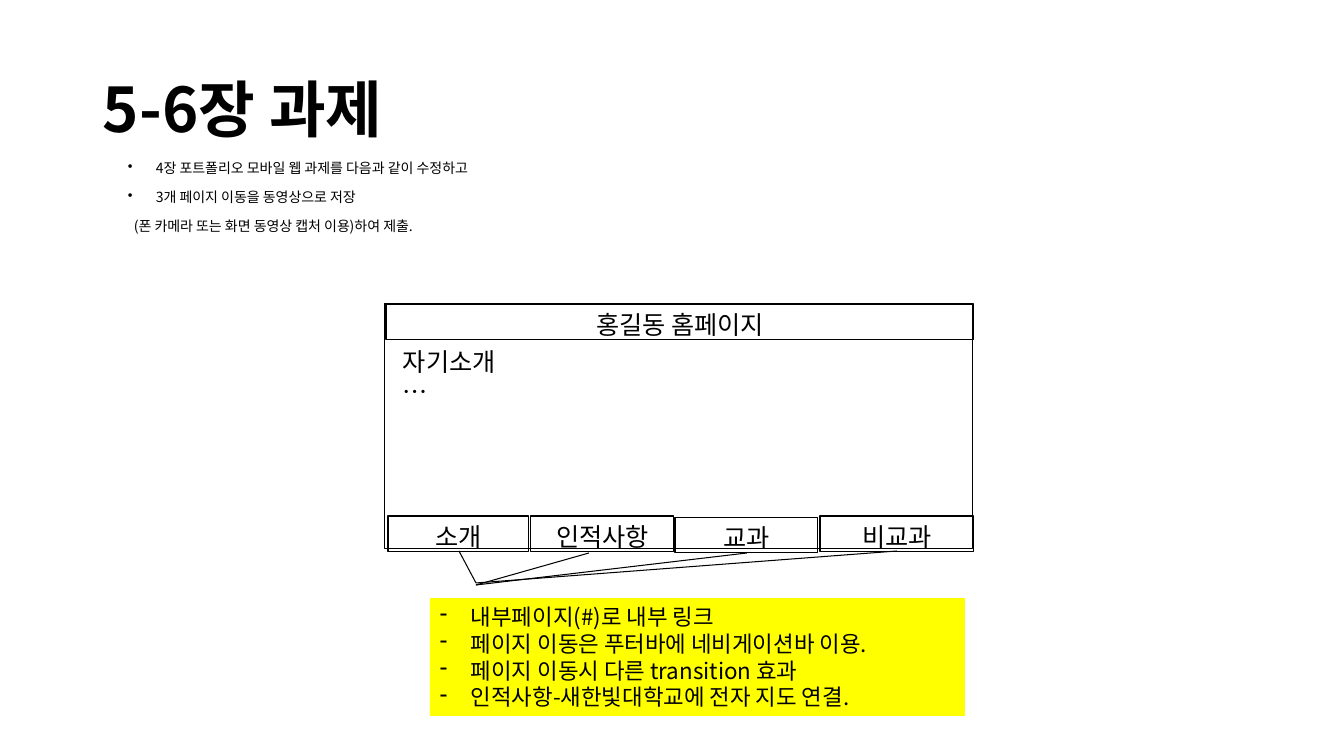
from dataclasses import dataclass
from typing import Optional

import pptx
import pptx.dml.color
import pptx.enum.shapes
import pptx.enum.text
import pptx.util
from pptx.oxml import xmlchemy, ns

SCALE = 914400 / 100.8
FONT = "Noto Sans CJK KR"
BLACK = "000000"
YELLOW = "FFFF00"
ALIGN = pptx.enum.text.PP_ALIGN
ANCHOR = pptx.enum.text.MSO_ANCHOR


@dataclass
class Para:
    text: str
    bullet: str = ""
    left: int = 0
    hang: int = 0


@dataclass
class Box:
    left: int
    top: int
    width: int
    height: int
    paras: tuple = ()
    size: int = 18
    fill: Optional[str] = None
    line: Optional[str] = None
    align: ALIGN = ALIGN.LEFT
    anchor: ANCHOR = ANCHOR.TOP
    bold: bool = False
    space: float = 1.0
    before: int = 0


@dataclass
class Link:
    left: int
    top: int
    end: int


def px(count: int) -> int:
    return round(count * SCALE)


def color(code: str) -> pptx.dml.color.RGBColor:
    return pptx.dml.color.RGBColor.from_string(code)


def add_tag(parent, tag: str, **attrs: str) -> None:
    node = xmlchemy.OxmlElement(tag)
    for key, value in attrs.items():
        node.set(key, value)
    parent.append(node)


def add_para(para, item: Para, box: Box) -> None:
    para.alignment = box.align
    para.line_spacing = box.space
    para.space_before = pptx.util.Pt(box.before)
    props = para._p.get_or_add_pPr()
    props.set("marL", str(px(item.left)))
    props.set("indent", str(-px(item.hang)))
    if item.bullet:
        add_tag(props, "a:buChar", char=item.bullet)
    else:
        add_tag(props, "a:buNone")
    run = para.add_run()
    run.text = item.text
    run.font.name = FONT
    run.font.size = pptx.util.Pt(box.size)
    run.font.bold = box.bold
    run.font.color.rgb = color(BLACK)
    latin = run._r.rPr.find(ns.qn("a:latin"))
    east = xmlchemy.OxmlElement("a:ea")
    east.set("typeface", FONT)
    latin.addnext(east)


def add_box(slide, box: Box) -> None:
    place = [px(n) for n in (box.left, box.top, box.width, box.height)]
    if box.fill or box.line:
        shape = slide.shapes.add_shape(
            pptx.enum.shapes.MSO_SHAPE.RECTANGLE, *place)
        shape.shadow.inherit = False
    else:
        shape = slide.shapes.add_textbox(*place)
    if box.fill:
        shape.fill.solid()
        shape.fill.fore_color.rgb = color(box.fill)
    else:
        shape.fill.background()
    if box.line:
        shape.line.color.rgb = color(box.line)
        shape.line.width = pptx.util.Pt(0.75)
    else:
        shape.line.fill.background()
    frame = shape.text_frame
    frame.word_wrap = True
    frame.vertical_anchor = box.anchor
    for index, item in enumerate(box.paras):
        para = frame.add_paragraph() if index else frame.paragraphs[0]
        add_para(para, item, box)


def add_link(slide, link: Link) -> None:
    line = slide.shapes.add_connector(
        pptx.enum.shapes.MSO_CONNECTOR.STRAIGHT,
        px(link.left), px(link.top), px(HUB), px(link.end))
    line.line.color.rgb = color(BLACK)
    line.line.width = pptx.util.Pt(0.75)
    add_tag(line._element.spPr, "a:effectLst")


def label(left: int, top: int, width: int, text: str) -> Box:
    return Box(left, top, width, 36, (Para(text),),
               line=BLACK, align=ALIGN.CENTER)


HUB = 476
NOTES = (
    "내부페이지(#)로 내부 링크",
    "페이지 이동은 푸터바에 네비게이션바 이용.",
    "페이지 이동시 다른 transition 효과",
    "인적사항-새한빛대학교에 전자 지도 연결.",
)
BOXES = (
    Box(93, 40, 1159, 146, (Para("5-6장 과제"),), size=44,
        anchor=ANCHOR.MIDDLE, bold=True, space=0.9),
    Box(118, 156, 1040, 119, (
        Para("4장 포트폴리오 모바일 웹 과제를 다음과 같이 수정하고", "•", 28, 28),
        Para("3개 페이지 이동을 동영상으로 저장", "•", 28, 28),
        Para("(폰 카메라 또는 화면 동영상 캡처 이용)하여 제출.", left=6),
    ), size=10, space=0.9, before=10),
    Box(385, 304, 588, 245, line=BLACK),
    label(386, 304, 588, "홍길동 홈페이지"),
    label(388, 516, 141, "소개"),
    label(531, 516, 143, "인적사항"),
    label(675, 517, 143, "교과"),
    label(820, 516, 154, "비교과"),
    Box(393, 341, 573, 62, (Para("자기소개"), Para("…"))),
    Box(430, 598, 535, 118,
        tuple(Para(note, "-", 31, 31) for note in NOTES),
        size=16, fill=YELLOW),
)
LINKS = (
    Link(459, 551, 583),
    Link(589, 553, 585),
    Link(747, 553, 585),
    Link(897, 551, 583),
)

deck = pptx.Presentation()
deck.slide_width = px(1344)
deck.slide_height = px(756)
page = deck.slides.add_slide(deck.slide_layouts[6])
for box in BOXES:
    add_box(page, box)
for link in LINKS:
    add_link(page, link)
deck.save("out.pptx")
